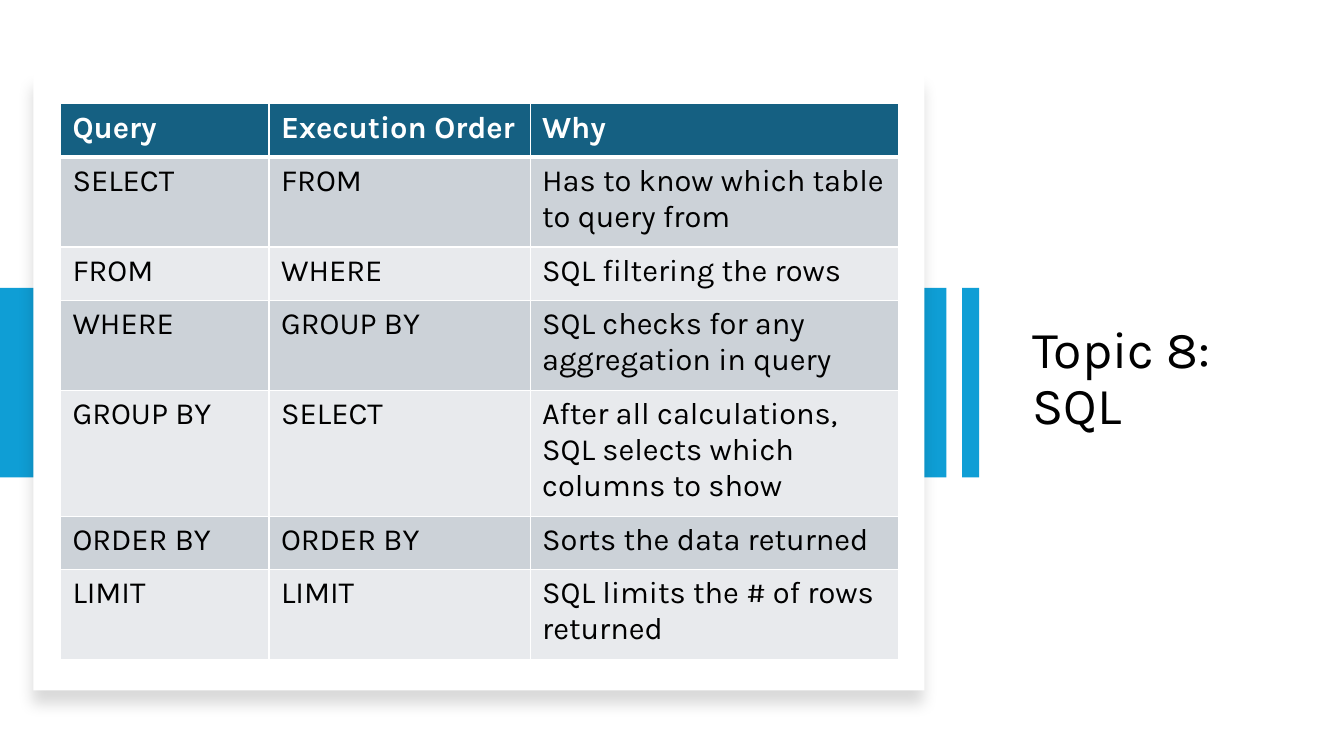
from lxml.etree import SubElement
from pptx import Presentation
from pptx.dml.color import RGBColor
from pptx.enum.shapes import MSO_SHAPE
from pptx.enum.text import MSO_ANCHOR, PP_ALIGN
from pptx.oxml import parse_xml
from pptx.oxml.ns import nsdecls, qn
from pptx.util import Pt

TITLE = "Topic 8: SQL"
HEADER = ("Query", "Execution Order", "Why")
# Query, execution order, reason, lines the reason takes
STEPS = [
    ("SELECT", "FROM", "Has to know which table to query from\u00a0", 2),
    ("FROM", "WHERE", "SQL filtering the rows", 1),
    ("WHERE", "GROUP BY", "SQL checks for any aggregation in query", 2),
    ("GROUP BY", "SELECT", "After all calculations, SQL selects which columns to show", 3),
    ("ORDER BY", "ORDER BY", "Sorts the data returned", 1),
    ("LIMIT", "LIMIT", "SQL limits the # of rows returned", 2),
]

FONT = "Karla"
BLACK = RGBColor(0x00, 0x00, 0x00)
WHITE = RGBColor(0xFF, 0xFF, 0xFF)
SKY = RGBColor(0x0F, 0x9E, 0xD5)
TEAL = RGBColor(0x15, 0x60, 0x82)
BANDS = (RGBColor(0xCC, 0xD2, 0xD8), RGBColor(0xE8, 0xEA, 0xED))

COLUMN_WIDTHS = (149, 186.5, 263.5)
LINE_HEIGHT, ROW_PADDING = 25.9, 12.3
BAND_TOP, BAND_HEIGHT = 205.6, 135.4


def add_block(slide, left, top, width, height, color):
    block = slide.shapes.add_shape(
        MSO_SHAPE.RECTANGLE, Pt(left), Pt(top), Pt(width), Pt(height))
    block.shadow.inherit = False
    block.fill.solid()
    block.fill.fore_color.rgb = color
    block.line.fill.background()
    return block


def add_soft_shadow(block):
    effects = block.fill._xPr.find(qn("a:effectLst"))
    shadow = SubElement(effects, qn("a:outerShdw"), blurRad=str(Pt(11)),
                        dist=str(Pt(10)), dir="5400000", algn="t", rotWithShape="0")
    color = SubElement(shadow, qn("a:srgbClr"), val="000000")
    SubElement(color, qn("a:alpha"), val="15000")


def style_font(paragraph, size, color, bold=False):
    for run in paragraph.runs:
        run.font.name = FONT
        run.font.size = Pt(size)
        run.font.bold = bold
        run.font.color.rgb = color


def set_borders(cell, widths):
    """Give the cell white borders; widths holds one per side, L R T B."""
    for index, (side, width) in enumerate(zip("LRTB", widths)):
        border = parse_xml(
            f'<a:ln{side} {nsdecls("a")} w="{Pt(width)}"><a:solidFill>'
            f'<a:srgbClr val="{WHITE}"/></a:solidFill></a:ln{side}>')
        cell._tc.get_or_add_tcPr().insert(index, border)


def fill_cell(cell, text, row):
    is_header = row == 0
    cell.text = text
    cell.margin_left = cell.margin_right = Pt(8.6)
    cell.margin_top = cell.margin_bottom = Pt(4.3)
    cell.fill.solid()
    cell.fill.fore_color.rgb = TEAL if is_header else BANDS[(row - 1) % 2]
    style_font(cell.text_frame.paragraphs[0], 22, WHITE if is_header else BLACK, is_header)
    set_borders(cell, (1, 1, 3 if row == 1 else 1, 3 if is_header else 1))


def add_steps_table(slide):
    rows = [(*HEADER, 1), *STEPS]
    heights = [lines * LINE_HEIGHT + ROW_PADDING for *_, lines in rows]
    steps = slide.shapes.add_table(
        len(rows), len(HEADER), Pt(43.2), Pt(74.2),
        Pt(sum(COLUMN_WIDTHS)), Pt(sum(heights))).table
    for column, width in zip(steps.columns, COLUMN_WIDTHS):
        column.width = Pt(width)
    for row, (*texts, _) in enumerate(rows):
        steps.rows[row].height = Pt(heights[row])
        for column, text in enumerate(texts):
            fill_cell(steps.cell(row, column), text, row)


def format_title(title):
    title.left, title.top, title.width, title.height = Pt(730), Pt(159), Pt(194.4), Pt(224)
    title.text_frame.text = TITLE
    title.text_frame.word_wrap = True
    title.text_frame.vertical_anchor = MSO_ANCHOR.MIDDLE
    heading = title.text_frame.paragraphs[0]
    heading.alignment = PP_ALIGN.LEFT
    heading.line_spacing = 0.9
    style_font(heading, 37, BLACK)


def main():
    deck = Presentation()
    deck.slide_width, deck.slide_height = Pt(960), Pt(540)
    slide = deck.slides.add_slide(deck.slide_layouts[5])
    format_title(slide.shapes.title)
    add_block(slide, 0, BAND_TOP, 676, BAND_HEIGHT, SKY)
    panel = add_block(slide, 23.8, 52.6, 636.5, 440.6, WHITE)
    add_soft_shadow(panel)
    add_block(slide, 687.2, BAND_TOP, 12.2, BAND_HEIGHT, SKY)
    add_steps_table(slide)
    deck.save("out.pptx")


if __name__ == "__main__":
    main()
